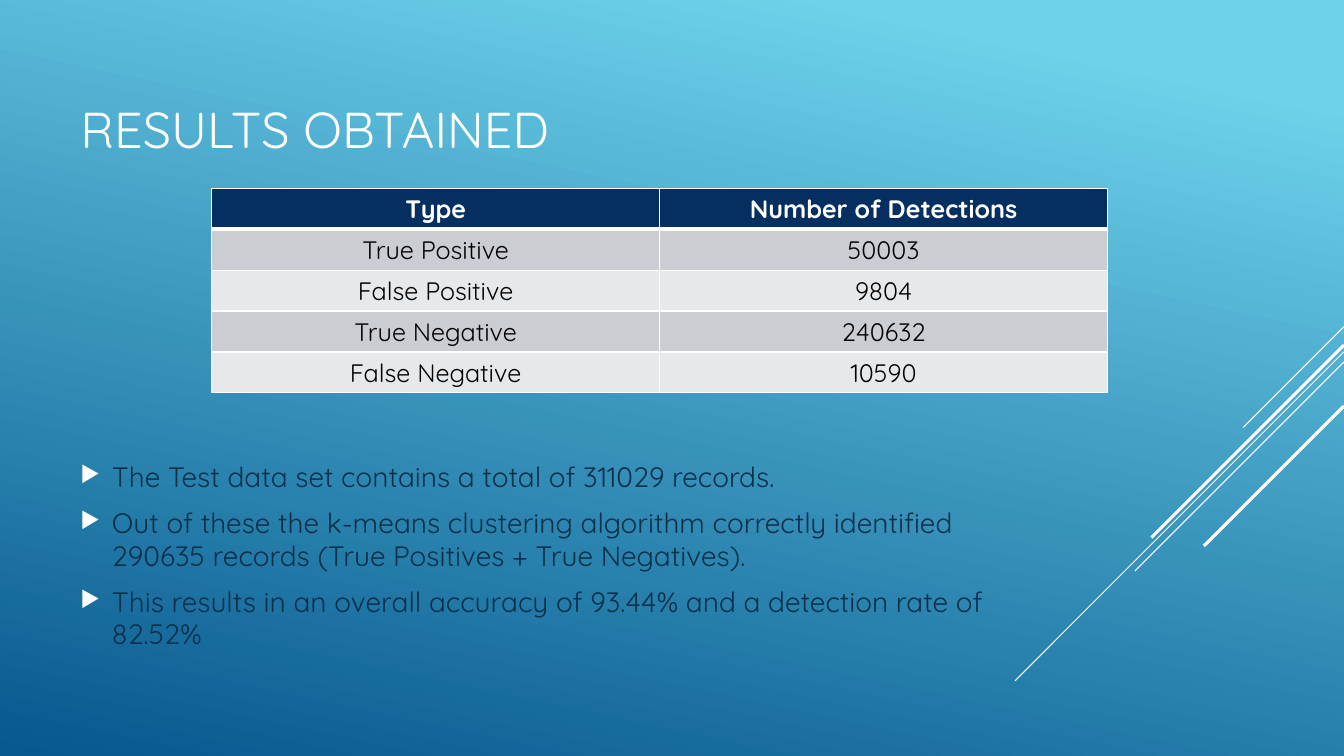
from lxml.etree import SubElement
from pptx import Presentation
from pptx.dml.color import RGBColor
from pptx.enum.shapes import MSO_CONNECTOR as CONN
from pptx.enum.text import MSO_ANCHOR as ANCHOR, PP_ALIGN as ALIGN
from pptx.oxml.ns import qn
from pptx.util import Pt

WHITE = RGBColor(0xFF, 0xFF, 0xFF)
BLACK = RGBColor(0, 0, 0)
SKY = RGBColor(0x6E, 0xD2, 0xEB)
OCEAN = RGBColor(0x06, 0x58, 0x8E)
INK = RGBColor(0x0A, 0x30, 0x4A)
NAVY = RGBColor(0x05, 0x2F, 0x61)
BANDS = [RGBColor(0xCC, 0xCD, 0xD2), RGBColor(0xE7, 0xE8, 0xEA)]

TITLE_FONT = dict(name="Quicksand", size=Pt(36))
BODY_FONT = dict(name="Quicksand", size=Pt(20))
HEAD_FONT = dict(name="Quicksand", size=Pt(18), bold=True)
CELL_FONT = dict(name="Quicksand", size=Pt(18), bold=False)
BULLET_SPACING = dict(space_before=Pt(3.5), space_after=Pt(6), line_spacing=0.97)

W, H = 960, 540
# Diagonal lines: start height on the right edge, horizontal run, weight
DIAGONALS = [
    (233.3, 72, 0.75),
    (251.3, 235, 0.75),
    (258.6, 149.3, 0.75),
    (246.5, 137.5, 2.25),
    (290, 100, 2.25),
]
ROWS = [
    ("Type", "Number of Detections"),
    ("True Positive", "50003"),
    ("False Positive", "9804"),
    ("True Negative", "240632"),
    ("False Negative", "10590"),
]
FINDINGS = [
    "The Test data set contains a total of 311029 records.",
    "Out of these the k-means clustering algorithm correctly identified "
    "290635 records (True Positives + True Negatives).",
    "This results in an overall accuracy of 93.44% and a detection rate of 82.52%",
]


def apply(obj, values):
    for name, value in values.items():
        setattr(obj, name, value)


def write(p, text, font, color):
    r = p.add_run()
    r.text = text
    apply(r.font, font)
    r.font.color.rgb = color


def set_background(s):
    fill = s.background.fill
    fill.gradient()
    fill.gradient_angle = 258
    for stop, pos, color in zip(fill.gradient_stops, (0.1, 1), (SKY, OCEAN)):
        stop.position = pos
        stop.color.rgb = color


def add_diagonal(s, y, run, weight):
    line = s.shapes.add_connector(CONN.STRAIGHT, Pt(W), Pt(y), Pt(W - run), Pt(y + run))
    line.line.color.rgb = WHITE
    line.line.width = Pt(weight)
    SubElement(line._element.spPr, qn("a:effectLst"))


def add_text_frame(s, x, y, w, h):
    tf = s.shapes.add_textbox(Pt(x), Pt(y), Pt(w), Pt(h)).text_frame
    apply(tf, dict(word_wrap=True, vertical_anchor=ANCHOR.MIDDLE))
    return tf


def set_bullet(p):
    pPr = p._p.get_or_add_pPr()
    indent = Pt(22.5)
    pPr.set("marL", str(indent))
    pPr.set("indent", str(-indent))
    color = SubElement(pPr, qn("a:buClr"))
    SubElement(color, qn("a:srgbClr"), val=str(WHITE))
    SubElement(pPr, qn("a:buSzPct"), val="80000")
    SubElement(pPr, qn("a:buChar"), char="▶")


def add_bullets(s, items, x, y, w, h):
    tf = add_text_frame(s, x, y, w, h)
    for i, text in enumerate(items):
        p = tf.add_paragraph() if i else tf.paragraphs[0]
        apply(p, BULLET_SPACING)
        set_bullet(p)
        write(p, text, BODY_FONT, INK)


def set_borders(cell, weights):
    tcPr = cell._tc.get_or_add_tcPr()
    for i, (side, weight) in enumerate(weights.items()):
        ln = SubElement(tcPr, qn("a:ln" + side), w=str(Pt(weight)))
        fill = SubElement(ln, qn("a:solidFill"))
        SubElement(fill, qn("a:srgbClr"), val=str(WHITE))
        tcPr.insert(i, ln)  # borders precede the cell fill


def add_results_table(s, rows, x, y, w, h):
    table = s.shapes.add_table(len(rows), len(rows[0]), Pt(x), Pt(y), Pt(w), Pt(h)).table
    for i, row in enumerate(rows):
        table.rows[i].height = Pt(h / len(rows))
        for j, text in enumerate(row):
            cell = table.cell(i, j)
            cell.fill.solid()
            cell.fill.fore_color.rgb = BANDS[(i - 1) % 2] if i else NAVY
            set_borders(cell, dict(L=1, R=1, T=3 if i == 1 else 1, B=1 if i else 3))
            p = cell.text_frame.paragraphs[0]
            p.alignment = ALIGN.CENTER
            write(p, text, CELL_FONT if i else HEAD_FONT, BLACK if i else WHITE)


def main():
    prs = Presentation()
    apply(prs, dict(slide_width=Pt(W), slide_height=Pt(H)))
    s = prs.slides.add_slide(prs.slide_layouts[6])

    # Backdrop
    set_background(s)
    for diagonal in DIAGONALS:
        add_diagonal(s, *diagonal)

    # Title
    title = add_text_frame(s, 50.4, 32.4, 672, 118.8)
    write(title.paragraphs[0], "RESULTS OBTAINED", TITLE_FONT, WHITE)

    # Findings and table
    add_bullets(s, FINDINGS, 50.4, 280.8, 672, 233.3)
    add_results_table(s, ROWS, 151.2, 134.6, 640, 146)

    prs.save("out.pptx")


if __name__ == "__main__":
    main()
